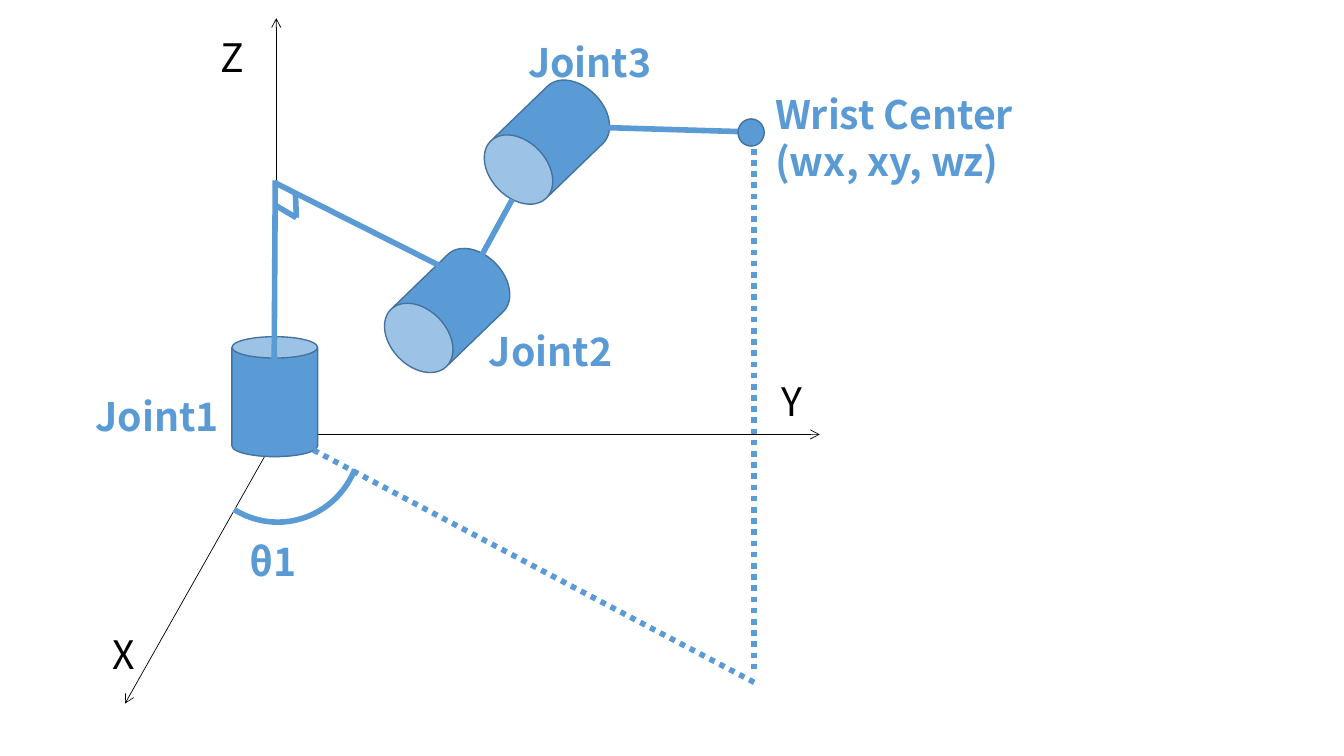
from dataclasses import dataclass

from lxml import etree
from pptx import Presentation, util as u
from pptx.dml.color import RGBColor
from pptx.enum import dml, shapes, text
from pptx.oxml import ns


@dataclass(frozen=True)
class Theme:
    font: str = "Noto Sans CJK JP"
    label_size: float = 28
    arm: RGBColor = RGBColor(0x5B, 0x9B, 0xD5)
    outline: RGBColor = RGBColor(0x43, 0x73, 0x9E)
    axis: RGBColor = RGBColor(0, 0, 0)
    arm_width: float = 4
    outline_width: float = 1
    axis_width: float = 0.5


theme = Theme()
deck = Presentation()
deck.slide_width = u.Inches(13.33)
deck.slide_height = u.Inches(7.5)
page = deck.slides.add_slide(deck.slide_layouts[6])


def add_label(wording, left, top, width, height=0.57, color=theme.arm, bold=True):
    box = page.shapes.add_textbox(*map(u.Inches, (left, top, width, height)))
    frame = box.text_frame
    frame.word_wrap = True
    frame.auto_size = text.MSO_AUTO_SIZE.SHAPE_TO_FIT_TEXT
    for index, line in enumerate(wording.split("\n")):
        para = frame.paragraphs[0] if index == 0 else frame.add_paragraph()
        span = para.add_run()
        span.text = line
        span.font.name = theme.font
        span.font.size = u.Pt(theme.label_size)
        span.font.bold = bold
        span.font.color.rgb = color
        properties = span.font._element
        east_asian = etree.SubElement(properties, ns.qn("a:ea"))
        east_asian.set("typeface", theme.font)


def add_line(start, end, color=theme.arm, width=theme.arm_width, dotted=False, arrow=False):
    line = page.shapes.add_connector(
        shapes.MSO_CONNECTOR.STRAIGHT, *map(u.Inches, (*start, *end)))
    line.line.color.rgb = color
    line.line.width = u.Pt(width)
    if dotted:
        line.line.dash_style = dml.MSO_LINE.ROUND_DOT
    if arrow:
        tail = etree.SubElement(line.line._get_or_add_ln(), ns.qn("a:tailEnd"))
        tail.set("type", "arrow")
    etree.SubElement(line._element.spPr, ns.qn("a:effectLst"))


axis_base = (2.72, 4.36)
shoulder = (2.72, 1.81)
wrist = (7.48, 1.31)
corner = (2.94, 2.16)

solids = []
for left, top in ((4.04, 2.41), (5.03, 0.74)):
    can = page.shapes.add_shape(
        shapes.MSO_SHAPE.CAN, *map(u.Inches, (left, top, 0.79, 1.34)))
    can.rotation = 226
    can.adjustments[0] = 0.705
    solids.append(can)

for start, end in (
    ((2.72, 4.31), (8.13, 4.31)),
    ((2.74, 4.36), (2.74, 0.18)),
    (axis_base, (1.24, 6.98)),
):
    add_line(start, end, color=theme.axis, width=theme.axis_width, arrow=True)

solids.append(page.shapes.add_shape(
    shapes.MSO_SHAPE.CAN, *map(u.Inches, (2.3, 3.34, 0.85, 1.19))))

for start, end, dotted in (
    ((4.35, 2.63), shoulder, False),
    ((2.72, 3.56), (2.73, 1.79), False),
    (corner, (2.93, 1.92), False),
    (corner, (2.72, 2.03), False),
    ((7.48, 6.77), (2.72, 4.26), True),
    ((5.08, 1.98), (4.67, 2.73), False),
    (wrist, (5.49, 1.25), False),
    ((7.48, 6.64), wrist, True),
):
    add_line(start, end, dotted=dotted)

solids.append(page.shapes.add_shape(
    shapes.MSO_SHAPE.OVAL, *map(u.Inches, (7.32, 1.18, 0.26, 0.27))))

for solid in solids:
    solid.shadow.inherit = False
    solid.fill.solid()
    solid.fill.fore_color.rgb = theme.arm
    solid.line.color.rgb = theme.outline
    solid.line.width = u.Pt(theme.outline_width)

add_label("Wrist Center\n(wx, xy, wz)", 7.59, 0.85, 2.9, height=1.04)

angle = page.shapes.add_shape(
    shapes.MSO_SHAPE.ARC, *map(u.Inches, (1.93, 3.5, 1.65, 1.68)))
angle.adjustments[0] = 13.562
angle.adjustments[1] = 72.685
angle.shadow.inherit = False
angle.fill.background()
angle.line.color.rgb = theme.arm
angle.line.width = u.Pt(theme.arm_width)

add_label("θ1", 2.38, 5.28, 2.47)

for name, left, top, width in (
    ("X", 1.02, 6.2, 2.47),
    ("Y", 7.65, 3.69, 1.72),
    ("Z", 2.09, 0.28, 1.72),
):
    add_label(name, left, top, width, color=theme.axis, bold=False)

for number, (left, top) in enumerate(((0.85, 3.84), (4.75, 3.2), (5.14, 0.33)), start=1):
    add_label(f"Joint{number}", left, top, 2.9)

deck.save("out.pptx")
